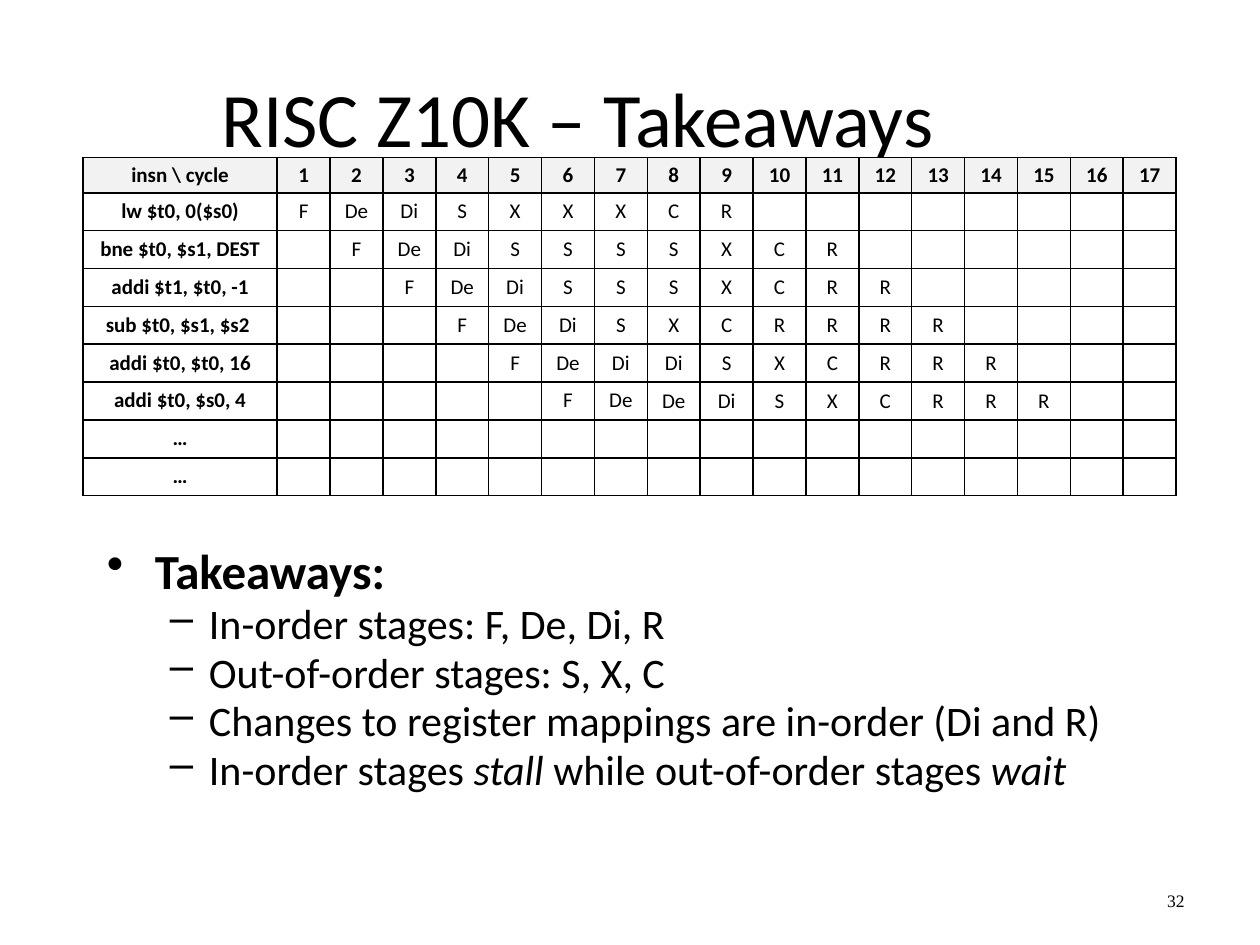
from lxml.etree import SubElement
from pptx import Presentation
from pptx.dml.color import RGBColor
from pptx.enum.text import MSO_ANCHOR as Anchor, PP_ALIGN as Align
from pptx.oxml.ns import qn
from pptx.util import Inches, Pt

COLORS = {"ink": "000000", "header": "F2F2F2", "body": "FFFFFF"}
CYCLES = 17
PIPELINE = [
    ("lw $t0, 0($s0)", "F De Di S X X X C R"),
    ("bne $t0, $s1, DEST", "F De Di S S S S X C R"),
    ("addi $t1, $t0, -1", "F De Di S S S X C R R"),
    ("sub $t0, $s1, $s2 ", "F De Di S X C R R R R"),
    ("addi $t0, $t0, 16", "F De Di Di S X C R R R"),
    ("addi $t0, $s0, 4", "F De De Di S X C R R R"),
    ("…", ""),
    ("…", ""),
]
TAKEAWAYS = [
    [("In-order stages: F, De, Di, R", False)],
    [("Out-of-order stages: S, X, C", False)],
    [("Changes to register mappings are in-order (Di and R)", False)],
    [("In-order stages ", False), ("stall", True),
     (" while out-of-order stages ", False), ("wait", True)],
]


def apply_format(target, values):
    """Set each named attribute of the target."""
    for name, value in values.items():
        setattr(target, name, value)


def add_run(paragraph, text, size, name="Calibri", **values):
    """Add a run in the ink colour."""
    run = paragraph.add_run()
    run.text = text
    apply_format(run.font, {"size": Pt(size), "name": name, **values})
    run.font.color.rgb = RGBColor.from_string(COLORS["ink"])


def add_frame(slide, box, anchor):
    """Add a wrapping text box and return its frame."""
    frame = slide.shapes.add_textbox(*map(Inches, box)).text_frame
    apply_format(frame, {"word_wrap": True, "vertical_anchor": anchor})
    return frame


def add_line(slide, box, text, size, align, name="Calibri"):
    """Place one line of text in the middle of the box."""
    paragraph = add_frame(slide, box, Anchor.MIDDLE).paragraphs[0]
    paragraph.alignment = align
    add_run(paragraph, text, size, name)


def add_borders(cell):
    """Draw a thin line on every side of the cell."""
    properties = cell._tc.get_or_add_tcPr()
    for position, side in enumerate(("a:lnL", "a:lnR", "a:lnT", "a:lnB")):
        line = SubElement(properties, qn(side), w=str(Pt(1)))
        fill = SubElement(line, qn("a:solidFill"))
        SubElement(fill, qn("a:srgbClr"), val=COLORS["ink"])
        properties.insert(position, line)


def fill_cell(cell, text, color, bold, spacing):
    """Write and style one table cell."""
    cell.vertical_anchor = Anchor.MIDDLE
    cell.fill.solid()
    cell.fill.fore_color.rgb = RGBColor.from_string(COLORS[color])
    add_borders(cell)
    paragraph = cell.text_frame.paragraphs[0]
    apply_format(paragraph, {"alignment": Align.CENTER, "line_spacing": spacing})
    if text:
        add_run(paragraph, text, 12, bold=bold)
    else:
        SubElement(paragraph._p, qn("a:endParaRPr"), sz="1200")


def pipeline_rows():
    """Return the header and the instructions, each starting a cycle later."""
    rows = [["insn \\ cycle", *map(str, range(1, CYCLES + 1))]]
    for delay, (instruction, stages) in enumerate(PIPELINE):
        cells = [""] * delay + stages.split()
        rows.append([instruction] + cells + [""] * (CYCLES - len(cells)))
    return rows


def add_pipeline(slide, box):
    """Place the pipeline table in the box."""
    rows = pipeline_rows()
    table = slide.shapes.add_table(len(rows), CYCLES + 1, *map(Inches, box)).table
    apply_format(table, {"first_row": False, "horz_banding": False})
    label_width = 1.54
    cycle_width = (box[2] - label_width) / CYCLES
    for index, column in enumerate(table.columns):
        column.width = Inches(cycle_width if index else label_width)
    for row_index, values in enumerate(rows):
        table.rows[row_index].height = Inches(0.25 if row_index else 0.24)
        color = "body" if row_index else "header"
        for column_index, text in enumerate(values):
            heading = row_index == 0 or column_index == 0
            spacing = 0.9 if row_index < 2 or column_index < 8 else 1.0
            fill_cell(table.cell(row_index, column_index), text, color, heading, spacing)


def format_bullet(paragraph, character, margin, hanging, size):
    """Give the paragraph a hanging bullet and tight lines."""
    properties = paragraph._p.get_or_add_pPr()
    properties.set("marL", str(Inches(margin)))
    properties.set("indent", str(-Inches(hanging)))
    SubElement(properties, qn("a:buChar"), char=character)
    apply_format(paragraph, {"line_spacing": 0.8, "space_before": Pt(size * 0.2)})


def add_takeaways(slide, box):
    """Place the heading and its list in the box."""
    frame = add_frame(slide, box, Anchor.TOP)
    heading = frame.paragraphs[0]
    format_bullet(heading, "•", 0.38, 0.38, 28)
    heading.space_before = Pt(0)
    add_run(heading, "Takeaways:", 28, bold=True)
    for parts in TAKEAWAYS:
        paragraph = frame.add_paragraph()
        paragraph.level = 1
        format_bullet(paragraph, "–", 0.81, 0.31, 24)
        for text, italic in parts:
            add_run(paragraph, text, 24, italic=italic)


def main():
    """Build and save the slide."""
    presentation = Presentation()
    apply_format(presentation, {"slide_width": Inches(10), "slide_height": Inches(7.5)})
    slide = presentation.slides.add_slide(presentation.slide_layouts[6])
    add_line(slide, (0.5, 0.3, 8.17, 1.25), "RISC Z10K – Takeaways", 44, Align.CENTER)
    add_line(slide, (8.33, 6.95, 1.17, 0.4), "32", 10, Align.RIGHT, "Times New Roman")
    add_pipeline(slide, (0.66, 1.25, 8.68, 2.66))
    add_takeaways(slide, (0.75, 4.33, 9.09, 2.33))
    presentation.save("out.pptx")


if __name__ == "__main__":
    main()
